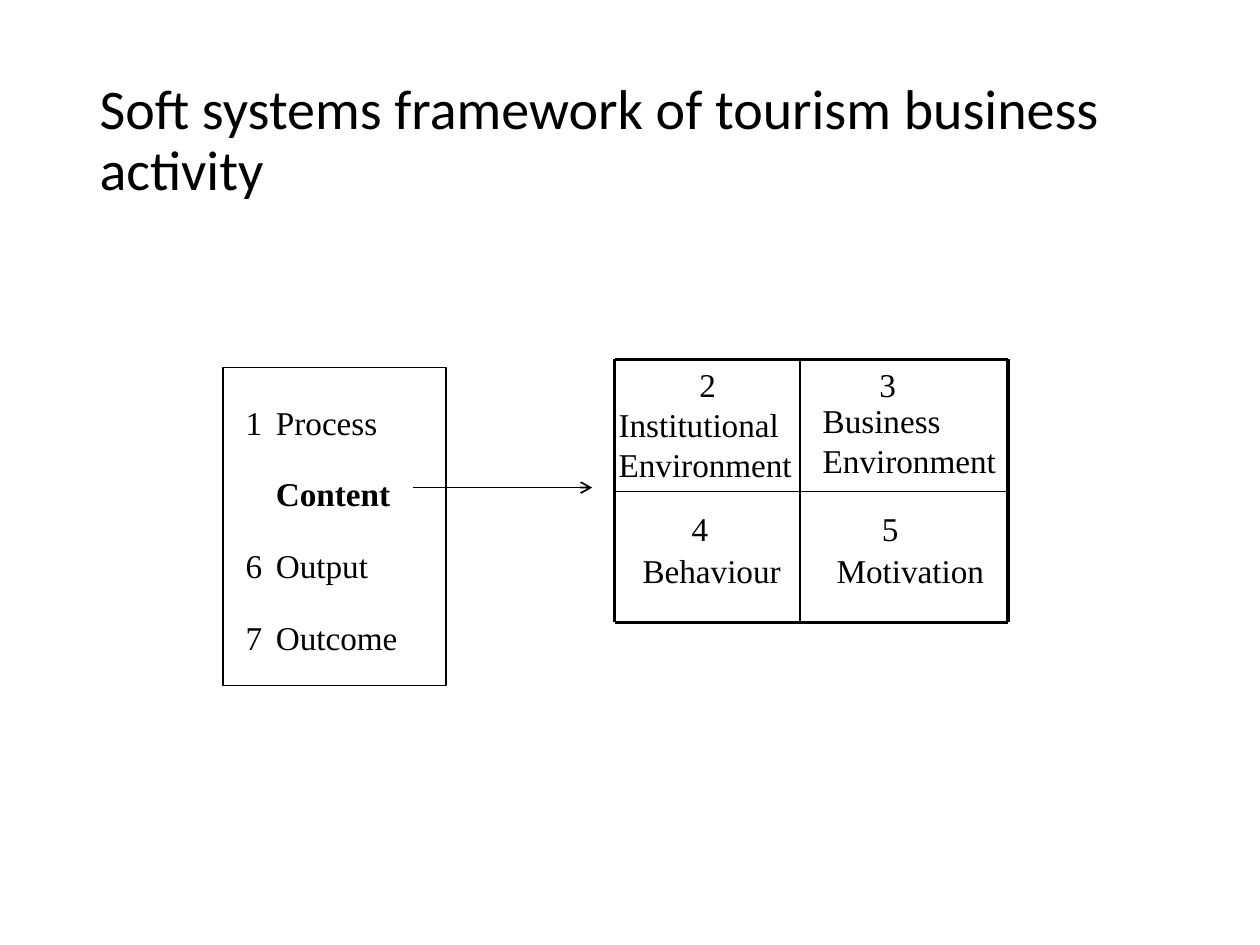
from dataclasses import dataclass

import pptx
import pptx.dml.color
import pptx.enum.shapes
import pptx.enum.text
import pptx.oxml
import pptx.oxml.ns
import pptx.shapes.connector
import pptx.slide
import pptx.util
from pptx.util import Inches

BLACK = pptx.dml.color.RGBColor(0, 0, 0)
LINE_HEIGHT = 0.32
DIGIT_WIDTH = 0.14
STAGE_WIDTH = 1.0
STAGE_TOP, STAGE_STEP = 3.19, 0.57
GRID_LEFT, GRID_MIDDLE, GRID_RIGHT = 4.88, 6.35, 8.0
GRID_TOP, GRID_CENTRE, GRID_BOTTOM = 2.85, 3.9, 4.94
OUTER_WEIGHT, INNER_WEIGHT, ARROW_WEIGHT = 1.75, 0.75, 1


@dataclass(frozen=True)
class Label:
    lines: tuple[str, ...]
    left: float
    top: float
    width: float
    bold: bool = False


@dataclass(frozen=True)
class Stage:
    number: str
    name: str
    bold: bool = False


@dataclass(frozen=True)
class Rule:
    start: tuple[float, float]
    end: tuple[float, float]
    weight: float


STAGES = (
    Stage("1", "Process"),
    Stage("", "Content", bold=True),
    Stage("6", "Output"),
    Stage("7", "Outcome"),
)

QUADRANTS = (
    Label(("2",), 5.55, 2.89, DIGIT_WIDTH),
    Label(("Institutional", "Environment"), 4.91, 3.21, 1.4),
    Label(("3",), 6.98, 2.89, DIGIT_WIDTH),
    Label(("Business", "Environment"), 6.53, 3.18, 1.4),
    Label(("4",), 5.49, 4.03, DIGIT_WIDTH),
    Label(("Behaviour",), 5.1, 4.37, 1.12),
    Label(("5",), 7.0, 4.03, DIGIT_WIDTH),
    Label(("Motivation",), 6.64, 4.37, 1.19),
)


def add_title(slide: pptx.slide.Slide, wording: str) -> None:
    title = slide.shapes.title
    title.left, title.top = Inches(0.69), Inches(0.4)
    title.width, title.height = Inches(8.63), Inches(1.45)
    title.text_frame.text = wording
    title.text_frame.vertical_anchor = pptx.enum.text.MSO_ANCHOR.MIDDLE
    paragraph = title.text_frame.paragraphs[0]
    paragraph.alignment = pptx.enum.text.PP_ALIGN.LEFT
    paragraph.line_spacing = 0.9
    paragraph.font.name = "Calibri"
    paragraph.font.size = pptx.util.Pt(32)
    paragraph.font.color.rgb = BLACK


def add_label(slide: pptx.slide.Slide, label: Label) -> None:
    box = slide.shapes.add_textbox(
        Inches(label.left), Inches(label.top),
        Inches(label.width), Inches(LINE_HEIGHT * len(label.lines)),
    )
    frame = box.text_frame
    frame.margin_left = frame.margin_right = 0
    frame.margin_top = frame.margin_bottom = 0
    frame.word_wrap = True
    frame.text = "\n".join(label.lines)
    for paragraph in frame.paragraphs:
        paragraph.font.name = "Times New Roman"
        paragraph.font.size = pptx.util.Pt(19)
        paragraph.font.bold = label.bold
        paragraph.font.color.rgb = BLACK


def add_rule(slide: pptx.slide.Slide, rule: Rule) -> pptx.shapes.connector.Connector:
    connector = slide.shapes.add_connector(
        pptx.enum.shapes.MSO_CONNECTOR.STRAIGHT,
        *map(Inches, rule.start + rule.end),
    )
    connector.line.color.rgb = BLACK
    connector.line.width = pptx.util.Pt(rule.weight)
    properties = connector._element.spPr
    properties.append(pptx.oxml.parse_xml(f"<a:effectLst {pptx.oxml.ns.nsdecls('a')}/>"))
    return connector


def add_arrow(slide: pptx.slide.Slide, rule: Rule) -> None:
    arrow = add_rule(slide, rule)
    arrow.line._get_or_add_ln().append(
        pptx.oxml.parse_xml(f'<a:tailEnd {pptx.oxml.ns.nsdecls("a")} type="arrow"/>')
    )


def add_stages(slide: pptx.slide.Slide) -> None:
    frame = slide.shapes.add_shape(
        pptx.enum.shapes.MSO_SHAPE.RECTANGLE,
        Inches(1.77), Inches(2.92), Inches(1.77), Inches(2.52),
    )
    frame.shadow.inherit = False
    frame.fill.background()
    frame.line.color.rgb = BLACK
    frame.line.width = pptx.util.Pt(0.62)
    for row, stage in enumerate(STAGES):
        top = STAGE_TOP + row * STAGE_STEP
        add_label(slide, Label((stage.name,), 2.19, top, STAGE_WIDTH, stage.bold))
        if stage.number:
            add_label(slide, Label((stage.number,), 1.95, top, DIGIT_WIDTH))


def add_quadrants(slide: pptx.slide.Slide) -> None:
    weights = (OUTER_WEIGHT, INNER_WEIGHT, OUTER_WEIGHT)
    for y, weight in zip((GRID_TOP, GRID_CENTRE, GRID_BOTTOM), weights):
        add_rule(slide, Rule((GRID_LEFT, y), (GRID_RIGHT, y), weight))
    for x, weight in zip((GRID_LEFT, GRID_MIDDLE, GRID_RIGHT), weights):
        add_rule(slide, Rule((x, GRID_TOP), (x, GRID_BOTTOM), weight))
    for label in QUADRANTS:
        add_label(slide, label)


def main() -> None:
    presentation = pptx.Presentation()
    presentation.slide_width = Inches(10)
    presentation.slide_height = Inches(7.5)
    slide = presentation.slides.add_slide(presentation.slide_layouts[5])
    add_title(slide, "Soft systems framework of tourism business activity")
    add_stages(slide)
    add_quadrants(slide)
    add_arrow(slide, Rule((3.28, 3.87), (4.7, 3.87), ARROW_WEIGHT))
    presentation.save("out.pptx")


if __name__ == "__main__":
    main()
